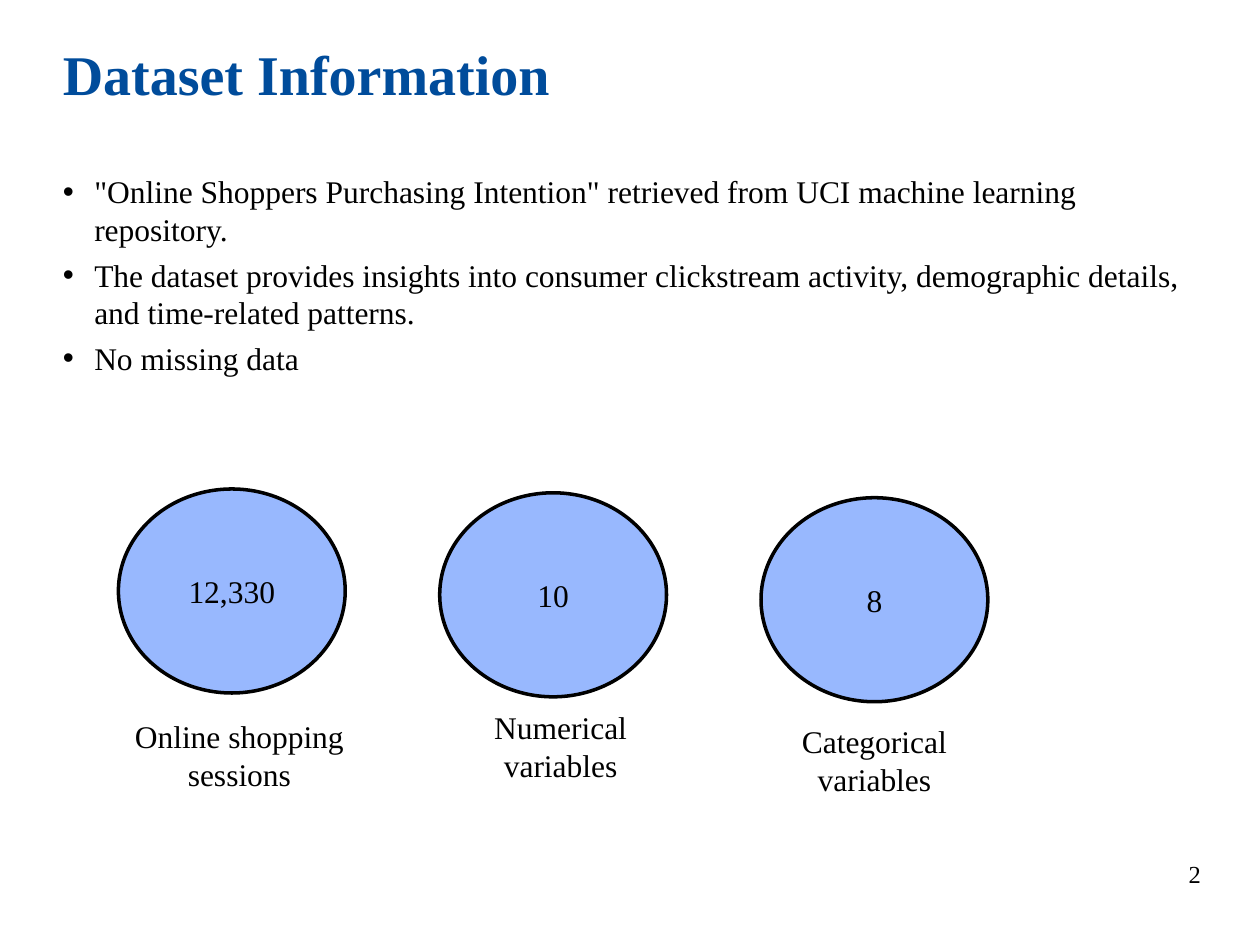
from dataclasses import dataclass

from lxml.etree import SubElement
from pptx import Presentation
from pptx.dml.color import RGBColor
from pptx.enum.shapes import MSO_SHAPE
from pptx.enum.text import MSO_ANCHOR, PP_ALIGN
from pptx.oxml.ns import qn
from pptx.util import Pt


@dataclass(frozen=True)
class Theme:
    font: str = "Times New Roman"
    title: RGBColor = RGBColor(0x00, 0x4C, 0x9B)
    ink: RGBColor = RGBColor(0x00, 0x00, 0x00)
    circle: RGBColor = RGBColor(0x98, 0xB8, 0xFE)
    title_size: int = 32
    body_size: int = 18
    number_size: int = 14


THEME = Theme()

BULLETS = [
    '"Online Shoppers Purchasing Intention" retrieved from UCI machine learning repository.',
    "The dataset provides insights into consumer clickstream activity, "
    "demographic details, and time-related patterns.",
    "No missing data",
]

# value, caption, circle drop, caption offset (x, y) from the region's corner
STATS = [
    ("12,330", "Online shopping\nsessions", 0, (0, 126.7)),
    ("10", "Numerical\nvariables", 2.2, (0, 121.7)),
    ("8", "Categorical\nvariables", 5, (-4.3, 129.6)),
]


def write(tf, text, size, align=PP_ALIGN.LEFT, color=THEME.ink, bold=False):
    """Fill a text frame, one paragraph per line, in the theme font."""
    tf.word_wrap = True
    tf.text = text
    for p in tf.paragraphs:
        p.alignment = align
        for r in p.runs:
            r.font.name = THEME.font
            r.font.size = Pt(size)
            r.font.bold = bold
            r.font.color.rgb = color


def add_text(slide, box, text, size, **style):
    tf = slide.shapes.add_textbox(*map(Pt, box)).text_frame
    write(tf, text, size, **style)
    return tf


def add_title(slide, box, text):
    tf = add_text(slide, box, text, THEME.title_size, color=THEME.title, bold=True)
    tf.paragraphs[0].line_spacing = Pt(26.6)


def add_bullets(slide, box, items):
    tf = add_text(slide, box, "\n".join(items), THEME.body_size)
    for i, p in enumerate(tf.paragraphs):
        p.space_before = Pt(4.3 if i else 0)
        pPr = p._p.get_or_add_pPr()
        pPr.set("marL", str(Pt(18)))
        pPr.set("indent", str(Pt(-18)))
        SubElement(pPr, qn("a:buFont"), typeface="Arial")
        SubElement(pPr, qn("a:buChar"), char="•")


def add_circle(slide, box, value):
    sp = slide.shapes.add_shape(MSO_SHAPE.OVAL, *map(Pt, box))
    sp.shadow.inherit = False
    sp.fill.solid()
    sp.fill.fore_color.rgb = THEME.circle
    sp.line.color.rgb = THEME.ink
    sp.line.width = Pt(2)
    sp.text_frame.vertical_anchor = MSO_ANCHOR.MIDDLE
    write(sp.text_frame, value, THEME.body_size, PP_ALIGN.CENTER)


def add_stats(slide, box, stats):
    """Place captioned circles at equal steps across the box."""
    left, top, width, height = box
    circle_w, circle_h, caption_w, caption_h = 129.6, 116.6, 138.2, 51.1
    step = (width - circle_w) / (len(stats) - 1)
    for i, (value, caption, drop, (dx, dy)) in enumerate(stats):
        x = left + i * step
        add_circle(slide, (x, top + drop, circle_w, circle_h), value)
        add_text(slide, (x + dx, top + dy, caption_w, caption_h), caption,
                 THEME.body_size, align=PP_ALIGN.CENTER)


def add_page_number(slide, box, number):
    tf = add_text(slide, box, str(number), THEME.number_size, align=PP_ALIGN.RIGHT)
    tf.vertical_anchor = MSO_ANCHOR.MIDDLE


def main():
    prs = Presentation()
    prs.slide_width, prs.slide_height = Pt(720), Pt(540)
    slide = prs.slides.add_slide(prs.slide_layouts[6])
    add_title(slide, (28.8, 31, 665.3, 50), "Dataset Information")
    add_bullets(slide, (28.8, 95, 665.3, 180), BULLETS)
    add_stats(slide, (67.7, 279.4, 496.8, 181), STATS)
    add_page_number(slide, (640, 484.6, 53.3, 28.8), 2)
    prs.save("out.pptx")


if __name__ == "__main__":
    main()
